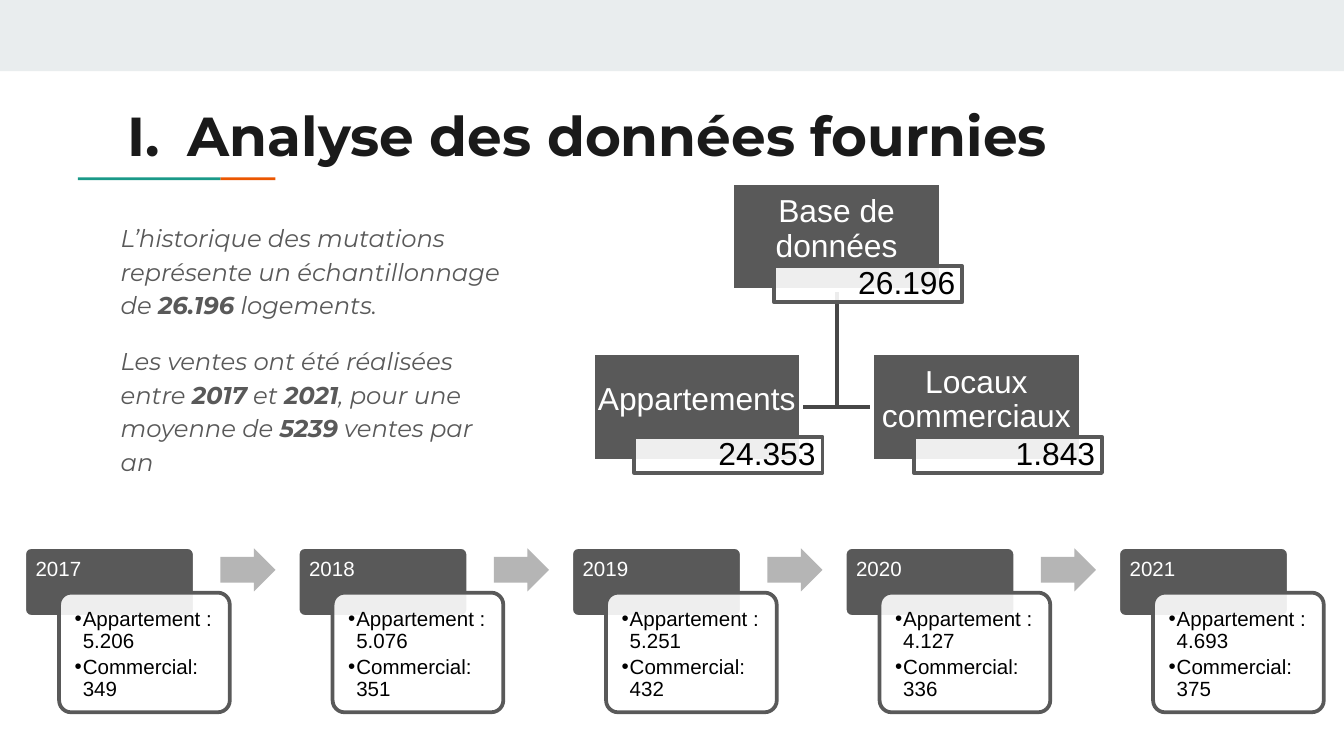
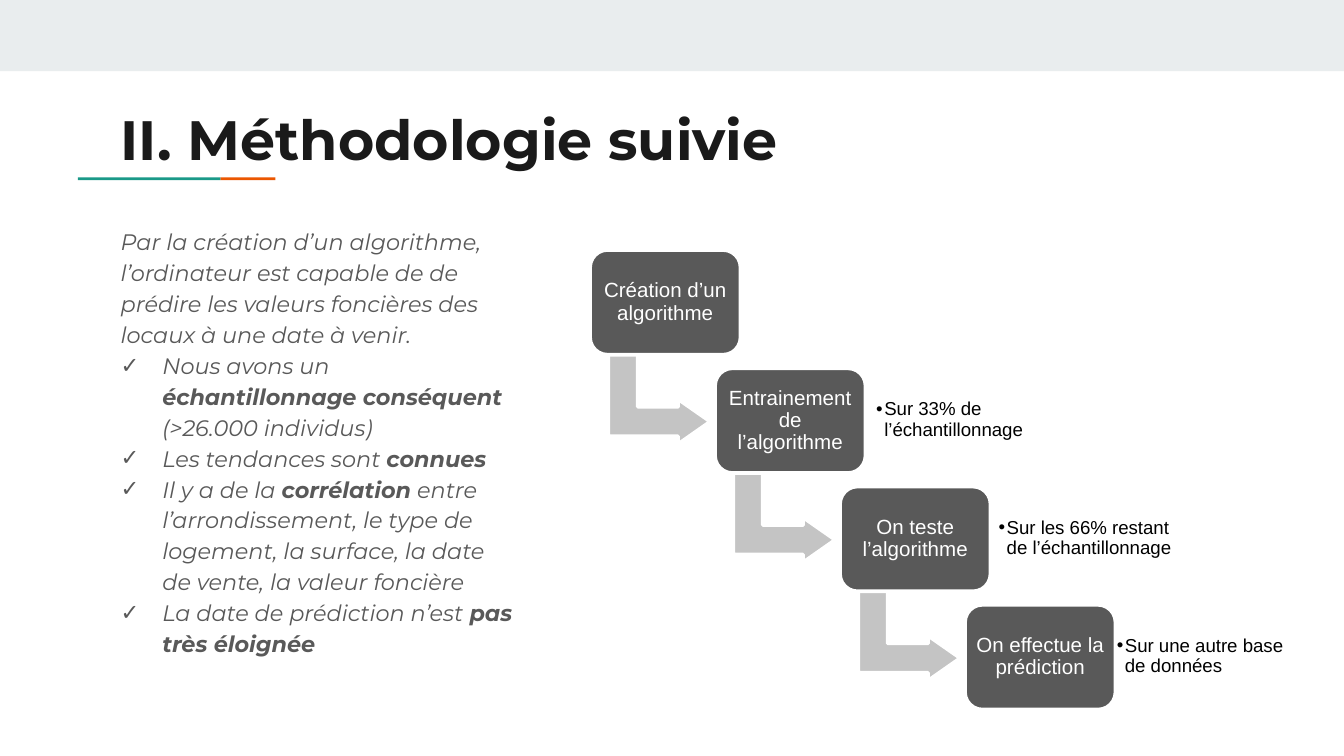
from dataclasses import dataclass
from typing import NamedTuple, Optional

from lxml.etree import SubElement
from pptx import Presentation
from pptx.dml.color import RGBColor
from pptx.enum.shapes import MSO_SHAPE as Preset
from pptx.enum.text import MSO_ANCHOR as Anchor, PP_ALIGN as Align
from pptx.oxml.ns import qn
from pptx.util import Inches, Pt

# Shared colours and fonts
BAND, TEAL, ORANGE = "E9EDEE", "1A9988", "EB5600"
INK, GREY, LINK = "1A1A1A", "595959", "474747"
WHITE, BLACK = "FFFFFF", "000000"
TIME_ARROW, STEP_ARROW = "B5B5B5", "C4C4C4"
HEADING_FONT, DIAGRAM_FONT = "Montserrat", "Arial"
AUTO_ROMAN = "romanUcPeriod"


class Box(NamedTuple):
    left: float
    top: float
    width: float
    height: float

    def lengths(self) -> list:
        return [Inches(value) for value in self]


@dataclass(frozen=True)
class TextStyle:
    size: float
    color: str
    font: str = DIAGRAM_FONT
    bold: bool = False
    italic: bool = False
    align: Align = Align.LEFT
    anchor: Anchor = Anchor.TOP
    insets: tuple = (0.1, 0.1, 0.1, 0.1)
    line_spacing: float = 1.0
    space_after: float = 0
    bullet: str = ""
    margin: float = 0
    hanging: float = 0


@dataclass(frozen=True)
class Figure:
    label: str
    value: str
    left: float
    top: float


@dataclass(frozen=True)
class Year:
    label: str
    apartments: str
    shops: str


@dataclass(frozen=True)
class Step:
    label: str
    note: str = ""
    note_left: float = 0
    note_width: float = 0


def diagram_style(size: float, color: str, **options) -> TextStyle:
    return TextStyle(size, color, line_spacing=0.9, **options)


BODY = TextStyle(13, GREY, HEADING_FONT, italic=True, line_spacing=1.15, space_after=12)
METHOD = TextStyle(12, GREY, HEADING_FONT, italic=True, line_spacing=1.15)
CHECKED = TextStyle(12, GREY, HEADING_FONT, italic=True, line_spacing=1.15,
                    bullet="✓", margin=0.31, hanging=0.31)
FIGURE_LABEL = diagram_style(17, WHITE, align=Align.CENTER, anchor=Anchor.MIDDLE,
                             insets=(0.01, 0.01, 0.01, 0.11), space_after=6)
FIGURE_VALUE = diagram_style(17, BLACK, align=Align.RIGHT, anchor=Anchor.MIDDLE,
                             insets=(0.05, 0.01, 0.05, 0.01), space_after=6)
YEAR_LABEL = diagram_style(11, WHITE, insets=(0.07, 0.07, 0.07, 0.05))
YEAR_DETAIL = diagram_style(11, BLACK, insets=(0.09,) * 4, space_after=2,
                            bullet="•", margin=0.06, hanging=0.06)
STEP_LABEL = diagram_style(11, WHITE, align=Align.CENTER, anchor=Anchor.MIDDLE,
                           insets=(0.03, 0.05, 0.03, 0.05), space_after=4)
STEP_NOTE = diagram_style(10, BLACK, anchor=Anchor.MIDDLE, insets=(0.04,) * 4,
                          space_after=1.5, bullet="•", margin=0.06, hanging=0.06)

FIGURES = [
    Figure("Base de données", "26.196", 5.45, 1.36),
    Figure("Appartements", "24.353", 4.41, 2.63),
    Figure("Locaux commerciaux", "1.843", 6.49, 2.63),
]
FIGURE_WIDTH, FIGURE_HEIGHT = 1.55, 0.8

YEARS = [
    Year("2017", "5.206", "349"),
    Year("2018", "5.076", "351"),
    Year("2019", "5.251", "432"),
    Year("2020", "4.127", "336"),
    Year("2021", "4.693", "375"),
]
FIRST_YEAR_LEFT, LAST_YEAR_LEFT = 0.18, 8.32

STEPS = [
    Step("Création d’un algorithme"),
    Step("Entrainement de l’algorithme", "Sur 33% de l’échantillonnage", 6.48, 1.27),
    Step("On teste l’algorithme", "Sur les 66% restant de l’échantillonnage", 7.39, 1.48),
    Step("On effectue la prédiction", "Sur une autre base de données", 8.27, 1.36),
]


def rgb(color: str) -> RGBColor:
    return RGBColor.from_string(color)


def add_bullet(paragraph, style: TextStyle) -> None:
    properties = paragraph._p.get_or_add_pPr()
    properties.set("marL", str(Inches(style.margin)))
    properties.set("indent", str(-Inches(style.hanging)))
    bullet_color = SubElement(properties, qn("a:buClr"))
    SubElement(bullet_color, qn("a:srgbClr"), val=style.color)
    if style.bullet == AUTO_ROMAN:
        SubElement(properties, qn("a:buAutoNum"), type=AUTO_ROMAN)
    else:
        SubElement(properties, qn("a:buFont"), typeface=DIAGRAM_FONT)
        SubElement(properties, qn("a:buChar"), char=style.bullet)


def fill_paragraph(paragraph, text: str, style: TextStyle) -> None:
    """Write the text; parts between ** marks are bold."""
    paragraph.alignment = style.align
    paragraph.line_spacing = style.line_spacing
    paragraph.space_after = Pt(style.space_after)
    if style.bullet:
        add_bullet(paragraph, style)
    for index, part in enumerate(text.split("**")):
        if not part:
            continue
        run = paragraph.add_run()
        run.text = part
        run.font.size = Pt(style.size)
        run.font.name = style.font
        run.font.bold = style.bold or index % 2 == 1
        run.font.italic = style.italic
        run.font.color.rgb = rgb(style.color)


def write(shape, entries: list) -> None:
    """Fill a shape with (text, style) paragraphs; the first style sets the frame."""
    frame = shape.text_frame
    frame.word_wrap = True
    style = entries[0][1]
    frame.vertical_anchor = style.anchor
    (frame.margin_left, frame.margin_top,
     frame.margin_right, frame.margin_bottom) = [Inches(inset) for inset in style.insets]
    for index, (text, style) in enumerate(entries):
        paragraph = frame.add_paragraph() if index else frame.paragraphs[0]
        fill_paragraph(paragraph, text, style)


def add_text(slide, box: Box, entries: list) -> None:
    write(slide.shapes.add_textbox(*box.lengths()), entries)


def add_block(slide, preset: Preset, box: Box, fill: str, line: Optional[str] = None,
              adjustments: tuple = (), opacity: int = 100):
    shape = slide.shapes.add_shape(preset, *box.lengths())
    shape.shadow.inherit = False
    shape.fill.solid()
    shape.fill.fore_color.rgb = rgb(fill)
    if opacity < 100:
        color = shape.fill._xPr.find(qn("a:solidFill")).find(qn("a:srgbClr"))
        SubElement(color, qn("a:alpha"), val=str(opacity * 1000))
    if line:
        shape.line.color.rgb = rgb(line)
        shape.line.width = Pt(2)
    else:
        shape.line.fill.background()
    for index, value in enumerate(adjustments):
        shape.adjustments[index] = value
    return shape


def add_elbow(slide, points: list) -> None:
    start, *others = [(Inches(x), Inches(y)) for x, y in points]
    builder = slide.shapes.build_freeform(*start, scale=1.0)
    builder.add_line_segments(others, close=False)
    elbow = builder.convert_to_shape()
    elbow.shadow.inherit = False
    elbow.fill.background()
    elbow.line.color.rgb = rgb(LINK)
    elbow.line.width = Pt(2)


def add_titled_slide(presentation, title: str, top: float, style: TextStyle):
    slide = presentation.slides.add_slide(presentation.slide_layouts[6])
    add_block(slide, Preset.RECTANGLE, Box(0, 0, 10, 0.53), BAND)
    add_block(slide, Preset.RECTANGLE, Box(1.64, 1.32, 0.41, 0.02), ORANGE)
    add_block(slide, Preset.RECTANGLE, Box(0.58, 1.32, 1.06, 0.02), TEAL)
    add_text(slide, Box(0.8, top, 8.41, 0.59), [(title, style)])
    return slide


def add_figure(slide, figure: Figure) -> None:
    label = add_block(slide, Preset.RECTANGLE,
                      Box(figure.left, figure.top, FIGURE_WIDTH, FIGURE_HEIGHT), GREY, WHITE)
    write(label, [(figure.label, FIGURE_LABEL)])
    value = add_block(slide, Preset.RECTANGLE,
                      Box(figure.left + 0.31, figure.top + 0.62, 1.4, 0.27),
                      WHITE, GREY, opacity=90)
    write(value, [(figure.value, FIGURE_VALUE)])


def add_year(slide, year: Year, left: float) -> None:
    header = add_block(slide, Preset.ROUNDED_RECTANGLE, Box(left, 4.07, 1.27, 0.52),
                       GREY, WHITE, (0.1,))
    write(header, [(year.label, YEAR_LABEL)])
    card = add_block(slide, Preset.ROUNDED_RECTANGLE, Box(left + 0.26, 4.41, 1.27, 0.89),
                     WHITE, GREY, (0.1,), opacity=90)
    write(card, [(f"Appartement : {year.apartments}", YEAR_DETAIL),
                 (f"Commercial: {year.shops}", YEAR_DETAIL)])


def add_step(slide, step: Step, left: float, top: float, is_last: bool) -> None:
    if not is_last:
        arrow = add_block(slide, Preset.BENT_UP_ARROW, Box(left + 0.18, top + 0.73, 0.67, 0.76),
                          STEP_ARROW, WHITE, (0.328, 0.25, 0.358))
        arrow.rotation = 90
    block = add_block(slide, Preset.ROUNDED_RECTANGLE, Box(left, top, 1.12, 0.78),
                      GREY, WHITE, (0.167,))
    write(block, [(step.label, STEP_LABEL)])
    if step.note:
        add_text(slide, Box(step.note_left, top + 0.07, step.note_width, 0.63),
                 [(step.note, STEP_NOTE)])


def build_analysis(presentation) -> None:
    title_style = TextStyle(29.4, INK, HEADING_FONT, bold=True,
                            bullet=AUTO_ROMAN, margin=0.5, hanging=0.45)
    slide = add_titled_slide(presentation, "Analyse des données fournies", 0.66, title_style)
    add_text(slide, Box(0.8, 1.53, 3.07, 3.21), [
        ("L’historique des mutations représente un échantillonnage de **26.196** logements.", BODY),
        ("Les ventes ont été réalisées entre **2017** et **2021**, "
         "pour une moyenne de **5239** ventes par an", BODY),
    ])

    # Tree: elbows first, so the boxes cover their ends
    root, left_branch, right_branch = FIGURES
    trunk = root.left + FIGURE_WIDTH / 2
    branch_middle = left_branch.top + FIGURE_HEIGHT / 2
    for edge in (right_branch.left, left_branch.left + FIGURE_WIDTH):
        add_elbow(slide, [(trunk, root.top + FIGURE_HEIGHT), (trunk, branch_middle),
                          (edge, branch_middle)])
    for figure in FIGURES:
        add_figure(slide, figure)

    # Timeline
    pitch = (LAST_YEAR_LEFT - FIRST_YEAR_LEFT) / (len(YEARS) - 1)
    for index, year in enumerate(YEARS):
        left = FIRST_YEAR_LEFT + index * pitch
        add_year(slide, year, left)
        if index < len(YEARS) - 1:
            add_block(slide, Preset.RIGHT_ARROW, Box(left + 1.46, 4.08, 0.41, 0.32),
                      TIME_ARROW, adjustments=(0.6, 0.5))


def build_method(presentation) -> None:
    title_style = TextStyle(29.7, INK, HEADING_FONT, bold=True)
    slide = add_titled_slide(presentation, "II. Méthodologie suivie", 0.68, title_style)
    add_text(slide, Box(0.8, 1.57, 3.16, 3.59), [
        ("Par la création d’un algorithme, l’ordinateur est capable de de prédire "
         "les valeurs foncières des locaux à une date à venir.", METHOD),
        ("Nous avons un **échantillonnage conséquent **(>26.000 individus)", CHECKED),
        ("Les tendances sont **connues**", CHECKED),
        ("Il y a de la **corrélation** entre l’arrondissement, le type de logement, "
         "la surface, la date de vente, la valeur foncière", CHECKED),
        ("La date de prédiction n’est **pas très éloignée**", CHECKED),
    ])

    # Staircase of steps
    for index, step in enumerate(STEPS):
        add_step(slide, step, 4.39 + index * 0.93, 1.86 + index * 0.88,
                 index == len(STEPS) - 1)


def main() -> None:
    presentation = Presentation()
    presentation.slide_width = Inches(10)
    presentation.slide_height = Inches(10) * 9 // 16
    build_analysis(presentation)
    build_method(presentation)
    presentation.save("out.pptx")


if __name__ == "__main__":
    main()
